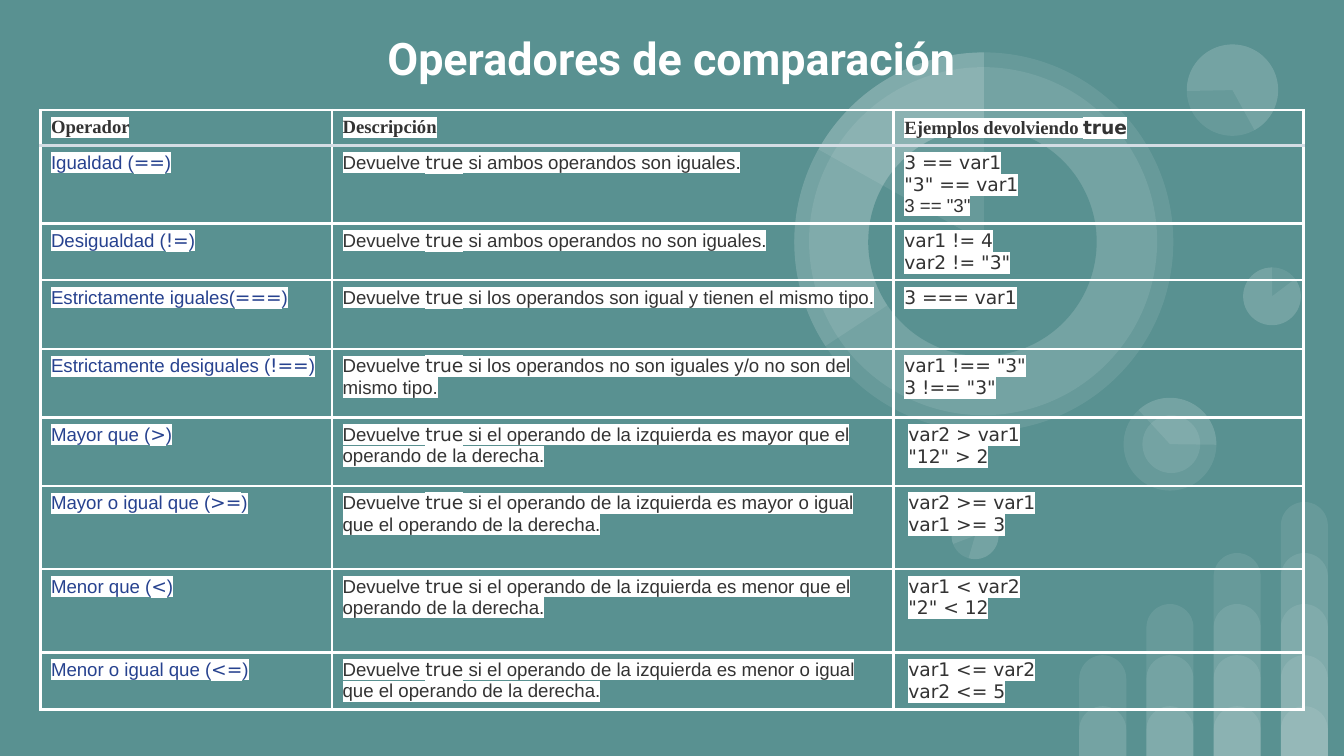
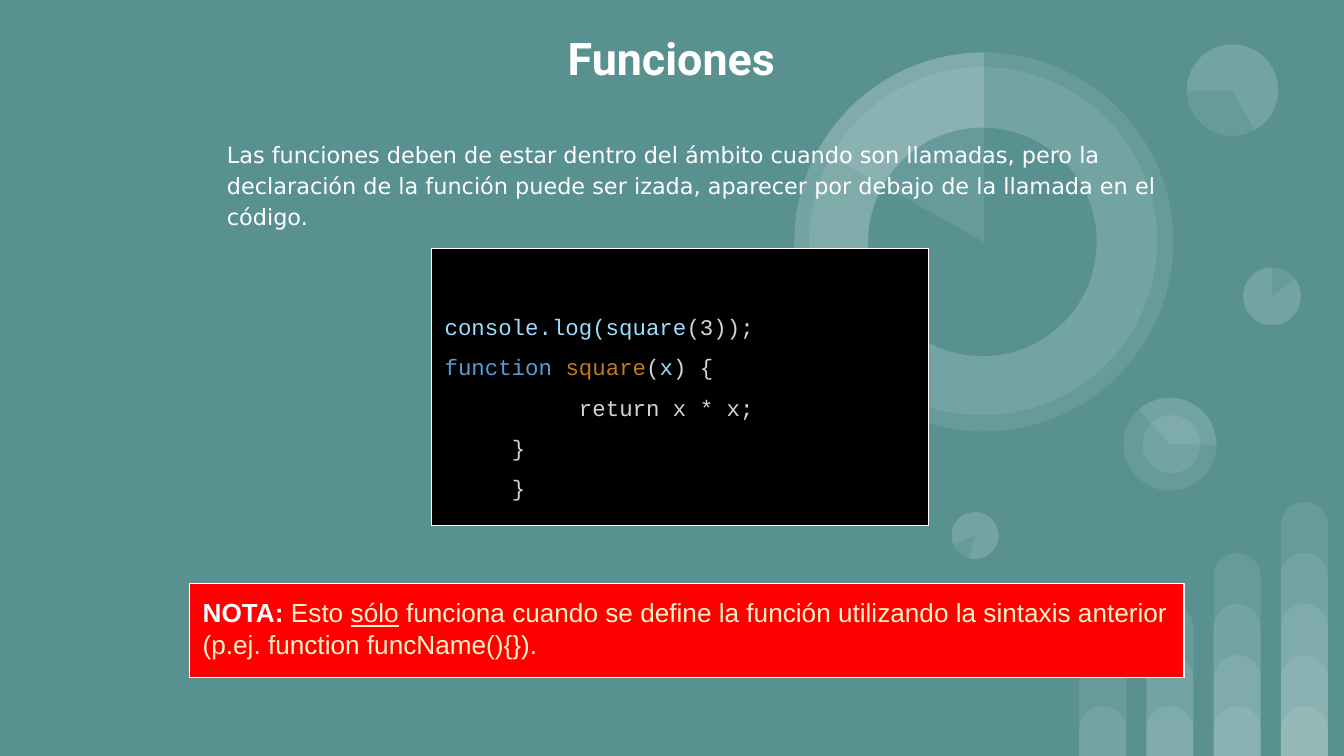
from lxml import etree
from pptx import Presentation
from pptx import util as u
from pptx.dml.color import RGBColor
from pptx.enum import shapes, text
from pptx.oxml.ns import qn

# Shared look
TEAL, WHITE, INK, BLUE, HEADER_RULE = "599191", "FFFFFF", "333333", "27428F", "D4DDE4"
SANS, MONO, SERIF, CODE, HEADING = (
    "Arial", "DejaVu Sans", "Times New Roman", "Courier New", "Roboto")
WIDTH = 10
HEIGHT = WIDTH * 9 / 16
VEIL = 9  # opacity of the decoration, percent

# Background decoration
BAR_COLUMNS = 4
BAR_LEFT, BAR_STEP, BAR_WIDTH = 8.03, 0.5, 0.35
BAR_BASE, BAR_RISE = 0.37, 0.38
# left, top, size, rotation, pie angles (None for a full disc), colour
DISCS = [
    (9.25, 1.99, 0.43, 0, None, WHITE),
    (7.08, 3.81, 0.35, 196.2, None, WHITE),
    (8.36, 2.96, 0.69, 90, None, WHITE),
    (8.36, 2.96, 0.69, 90, (82.45, 162.46), WHITE),
    (8.5, 3.09, 0.43, 90, None, WHITE),
    (9.25, 1.99, 0.43, 0, (193.77, 162), WHITE),
    (8.83, 0.33, 0.68, 215.9, None, WHITE),
    (8.83, 0.33, 0.68, 215.9, (193.77, 123.14), WHITE),
    (5.91, 0.39, 2.82, 0, None, WHITE),
    (6.02, 0.5, 2.59, 34.1, None, WHITE),
    (5.91, 0.39, 2.82, 0, (88.01, 162), WHITE),
    (6.46, 0.95, 1.7, 34.1, None, TEAL),
    (5.91, 0.39, 2.82, 0, (125.54, 162), WHITE),
    (7.08, 3.81, 0.35, 196.2, (193.77, 162), WHITE),
]

# Slide 1: comparison operators
COLUMN_WIDTHS = [2.17, 4.18, 3.05]
HEADER_HEIGHT = 0.2
HEADER = [
    [("Operador", SERIF)],
    [("Descripción", SERIF)],
    [("Ejemplos devolviendo ", SERIF), ("true", MONO)],
]
# name, operator, description after "Devuelve true", examples, indent, row height
OPERATORS = [
    ("Igualdad (", "==", "si ambos operandos son iguales.",
     ["3 == var1", '"3" == var1', '3 == "3"'], 0, 0.46),
    ("Desigualdad (", "!=", "si ambos operandos no son iguales.",
     ["var1 != 4", 'var2 != "3"'], 0, 0.32),
    ("Estrictamente iguales(", "===", "si los operandos son igual y tienen el mismo tipo.",
     ["3 === var1"], 0, 0.51),
    ("Estrictamente desiguales (", "!==",
     "si los operandos no son iguales y/o no son del mismo tipo.",
     ['var1 !== "3"', '3 !== "3"'], 0, 0.51),
    ("Mayor que (", ">",
     "si el operando de la izquierda es mayor que el operando de la derecha.",
     ["var2 > var1", '"12" > 2'], 0.03, 0.51),
    ("Mayor o igual que (", ">=",
     "si el operando de la izquierda es mayor o igual que el operando de la derecha.",
     ["var2 >= var1", "var1 >= 3"], 0.03, 0.62),
    ("Menor que (", "<",
     "si el operando de la izquierda es menor que el operando de la derecha.",
     ["var1 < var2", '"2" < 12'], 0.03, 0.62),
    ("Menor o igual que (", "<=",
     "si el operando de la izquierda es menor o igual que el operando de la derecha.",
     ["var1 <= var2", "var2 <= 5"], 0.03, 0.37),
]
SANS_EXAMPLES = {'3 == "3"'}

# Slide 2: functions
INTRO = ("Las funciones deben de estar dentro del ámbito cuando son llamadas, pero la "
         "declaración de la función puede ser izada, aparecer por debajo de la llamada "
         "en el código.")
PALE, SKY, KEYWORD, ORANGE = "D4D4D4", "9CDCFE", "569CD6", "C0791B"
# left indent, first-line indent, coloured pieces
CODE_LINES = [
    (0, 0, [("console.log(square", SKY), ("(3));", PALE)]),
    (0, 0, [("function ", KEYWORD), ("square", ORANGE), ("(", PALE), ("x", SKY),
            (") {", PALE)]),
    (0.5, 0.5, [("return x * x;", PALE)]),
    (0.5, 0, [("}", PALE)]),
    (0.5, 0, [("}", PALE)]),
]
NOTE_COLOUR = "FFF2CC"
NOTE = [
    ("NOTA: ", WHITE, {"bold": True}),
    ("Esto ", NOTE_COLOUR, {}),
    ("sólo", NOTE_COLOUR, {"underline": True}),
    (" funciona cuando se define la función utilizando la sintaxis anterior "
     "(p.ej. function funcName(){}).", NOTE_COLOUR, {}),
]


def colour(value):
    return RGBColor.from_string(value)


def inches(*values):
    return [u.Inches(value) for value in values]


def add_span(para, words, font, size, ink, bold=False, underline=False, highlight=None):
    span = para.add_run()
    span.text = words
    span.font.name, span.font.size = font, u.Pt(size)
    span.font.bold, span.font.underline = bold, underline
    span.font.color.rgb = colour(ink)
    if highlight:
        mark = etree.Element(qn("a:highlight"))
        etree.SubElement(mark, qn("a:srgbClr"), val=highlight)
        span.font._element.find(qn("a:solidFill")).addnext(mark)


def indent(para, left, first=0):
    properties = para._p.get_or_add_pPr()
    properties.set("marL", str(u.Inches(left)))
    properties.set("indent", str(u.Inches(first)))


def next_para(frame, index):
    return frame.add_paragraph() if index else frame.paragraphs[0]


def set_frame(frame, anchor, top=0.1):
    frame.word_wrap = True
    frame.auto_size = text.MSO_AUTO_SIZE.NONE
    frame.vertical_anchor = anchor
    frame.margin_left = frame.margin_right = frame.margin_bottom = u.Inches(0.1)
    frame.margin_top = u.Inches(top)


def add_veil(group, kind, place, fill=WHITE, angles=(), rotation=0):
    shape = group.shapes.add_shape(kind, *inches(*place))
    shape.shadow.inherit = False
    shape.line.fill.background()
    shape.fill.solid()
    shape.fill.fore_color.rgb = colour(fill)
    shape.rotation = rotation
    for index, angle in enumerate(angles):
        shape.adjustments[index] = angle
    if fill == WHITE:
        tint = shape._element.spPr.find(qn("a:solidFill"))[0]
        etree.SubElement(tint, qn("a:alpha"), val=str(VEIL * 1000))


def decorate(layout, page):
    """Draw the bars and discs on a page, then move them into its layout."""
    bars = page.shapes.add_group_shape()
    for column in range(BAR_COLUMNS):
        for level in range(column + 2):
            tall = BAR_BASE + level * BAR_RISE
            add_veil(bars, shapes.MSO_SHAPE.ROUND_2_SAME_RECTANGLE,
                     (BAR_LEFT + column * BAR_STEP, HEIGHT - tall, BAR_WIDTH, tall),
                     angles=(0.5, 0))
    discs = page.shapes.add_group_shape()
    for left, top, size, rotation, angles, fill in DISCS:
        kind = shapes.MSO_SHAPE.PIE if angles else shapes.MSO_SHAPE.OVAL
        add_veil(discs, kind, (left, top, size, size), fill, angles or (), rotation)
    for position, group in enumerate((bars, discs), start=2):
        layout.shapes._spTree.insert(position, group._element)


def add_page(deck, layout, title):
    page = deck.slides.add_slide(layout)
    box = page.shapes.title
    box.left, box.top, box.width, box.height = inches(0.73, 0.22, 8.53, 0.42)
    set_frame(box.text_frame, text.MSO_ANCHOR.MIDDLE)
    para = box.text_frame.paragraphs[0]
    para.alignment = text.PP_ALIGN.CENTER
    add_span(para, title, HEADING, 24, WHITE, bold=True)
    return page


def add_panel(page, place, fill, anchor, top=0.1):
    panel = page.shapes.add_shape(shapes.MSO_SHAPE.RECTANGLE, *inches(*place))
    panel.shadow.inherit = False
    panel.fill.solid()
    panel.fill.fore_color.rgb = colour(fill)
    panel.line.color.rgb = colour(WHITE)
    panel.line.width = u.Pt(0.75)
    set_frame(panel.text_frame, anchor, top)
    return panel.text_frame


def set_borders(cell, top, bottom):
    properties = cell._tc.get_or_add_tcPr()
    sides = [("L", WHITE), ("R", WHITE), ("T", top), ("B", bottom)]
    for position, (side, ink) in enumerate(sides):
        rule = etree.Element(qn("a:ln" + side), w=str(u.Pt(1.47)))
        fill = etree.SubElement(rule, qn("a:solidFill"))
        etree.SubElement(fill, qn("a:srgbClr"), val=ink)
        properties.insert(position, rule)


def fill_cell(cell, lines, ink=INK, bold=False, left=0):
    cell.fill.background()
    cell.margin_left = cell.margin_right = u.Inches(0.08)
    cell.margin_top = cell.margin_bottom = u.Inches(0.05)
    for index, pieces in enumerate(lines):
        para = next_para(cell.text_frame, index)
        para.alignment = text.PP_ALIGN.LEFT
        indent(para, left)
        for words, font in pieces:
            add_span(para, words, font, 10, ink, bold, highlight=WHITE)


def build_operators(page):
    heights = [HEADER_HEIGHT] + [operator[-1] for operator in OPERATORS]
    table = page.shapes.add_table(
        len(heights), len(COLUMN_WIDTHS),
        *inches(0.3, 0.82, sum(COLUMN_WIDTHS), sum(heights))).table
    table.first_row = table.horz_banding = False
    for column, wide in zip(table.columns, COLUMN_WIDTHS):
        column.width = u.Inches(wide)
    for row, tall in zip(table.rows, heights):
        row.height = u.Inches(tall)

    for column, pieces in enumerate(HEADER):
        fill_cell(table.cell(0, column), [pieces], bold=True)
    for row, (name, sign, tail, examples, left, _) in enumerate(OPERATORS, start=1):
        fill_cell(table.cell(row, 0), [[(name, SANS), (sign, MONO), (")", SANS)]], BLUE)
        fill_cell(table.cell(row, 1),
                  [[("Devuelve ", SANS), ("true", MONO), (" " + tail, SANS)]])
        fill_cell(table.cell(row, 2),
                  [[(example, SANS if example in SANS_EXAMPLES else MONO)]
                   for example in examples], left=left)
    for row in range(len(heights)):
        for column in range(len(COLUMN_WIDTHS)):
            set_borders(table.cell(row, column),
                        HEADER_RULE if row == 1 else WHITE,
                        HEADER_RULE if row == 0 else WHITE)


def build_functions(page):
    # Introduction
    intro = page.shapes.add_textbox(*inches(1.09, 0.29, 7.95, 2.15)).text_frame
    set_frame(intro, text.MSO_ANCHOR.MIDDLE)
    para = intro.paragraphs[0]
    para.line_spacing, para.space_after = 1.15, u.Pt(23)
    indent(para, 0.5)
    add_span(para, INTRO, MONO, 12, WHITE)

    # Code panel, with extra room above the code
    code = add_panel(page, (3.21, 1.85, 3.7, 2.06), "000000",
                     text.MSO_ANCHOR.MIDDLE, top=0.3)
    for index, (left, first, pieces) in enumerate(CODE_LINES):
        para = next_para(code, index)
        para.alignment = text.PP_ALIGN.LEFT
        para.line_spacing = 1.5
        indent(para, left, first)
        for words, ink in pieces:
            add_span(para, words, CODE, 12, ink)

    # Warning note
    note = add_panel(page, (1.41, 4.34, 7.4, 0.7), "FF0000", text.MSO_ANCHOR.TOP)
    para = note.paragraphs[0]
    para.alignment = text.PP_ALIGN.LEFT
    for words, ink, style in NOTE:
        add_span(para, words, SANS, 14, ink, **style)


def main():
    deck = Presentation()
    deck.slide_width, deck.slide_height = inches(WIDTH, HEIGHT)
    backdrop = deck.slide_master.background.fill
    backdrop.solid()
    backdrop.fore_color.rgb = colour(TEAL)
    layout = deck.slide_layouts.get_by_name("Title Only")

    operators = add_page(deck, layout, "Operadores de comparación")
    decorate(layout, operators)
    build_operators(operators)
    build_functions(add_page(deck, layout, "Funciones"))
    deck.save("out.pptx")


if __name__ == "__main__":
    main()
